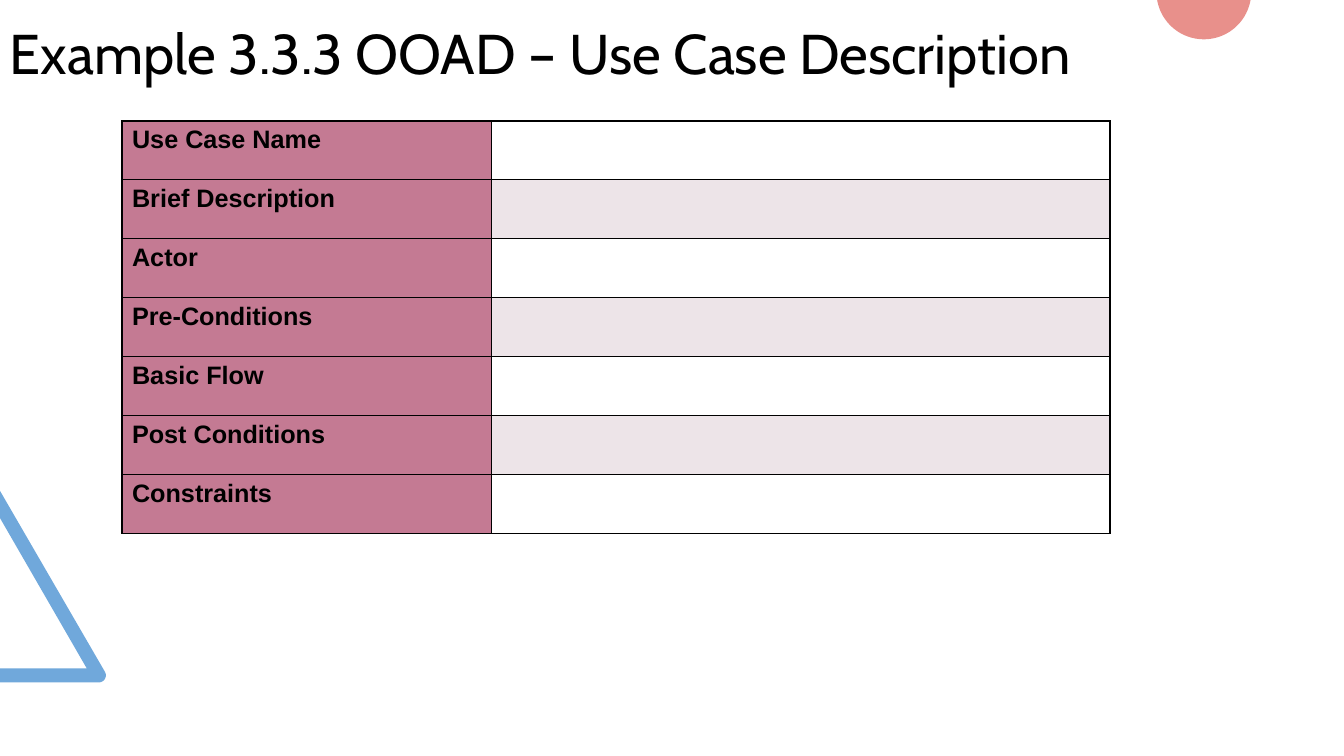
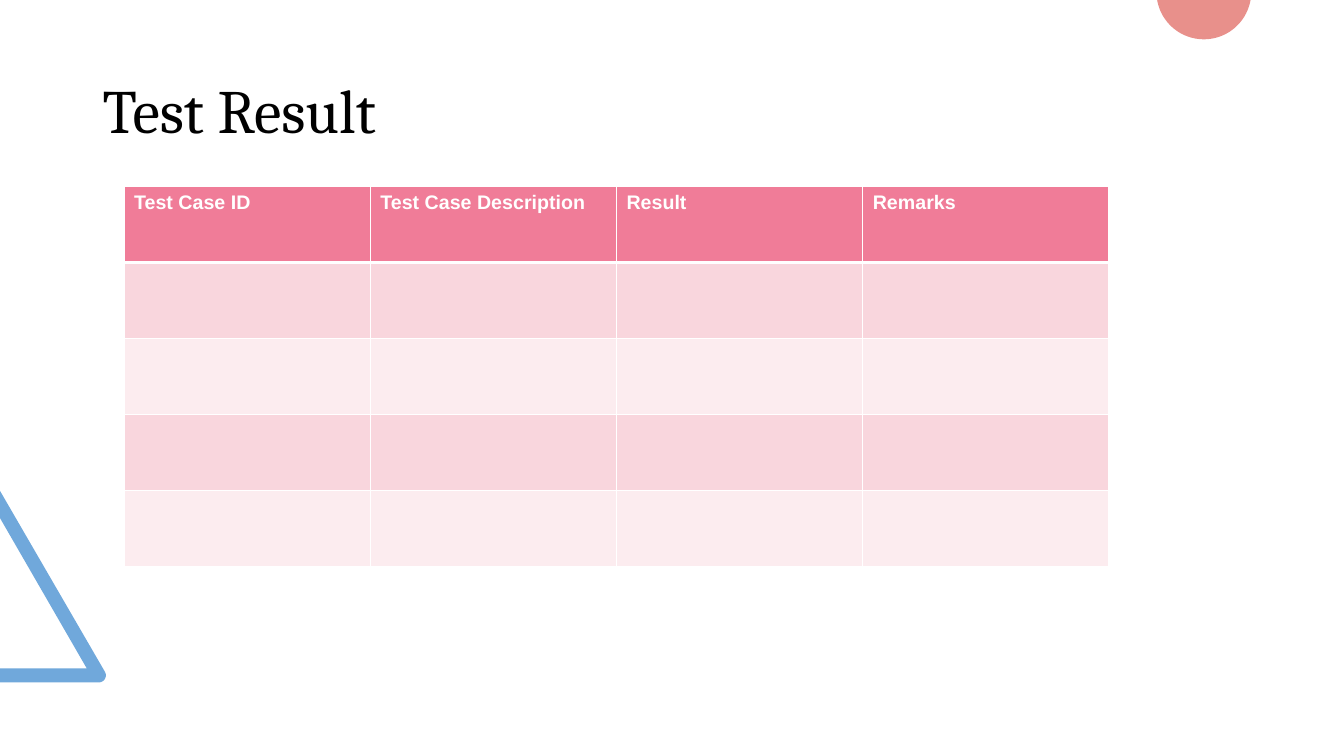
from math import asin, cos, pi, sin

from lxml.etree import SubElement
from pptx import Presentation
from pptx.dml.color import RGBColor
from pptx.enum.text import MSO_ANCHOR
from pptx.oxml.ns import qn
from pptx.util import Inches, Pt

# Shared style
SLIDE_WIDTH, SLIDE_HEIGHT = 13.33, 7.5
BLACK = RGBColor(0x00, 0x00, 0x00)
WHITE = RGBColor(0xFF, 0xFF, 0xFF)
BLUE = RGBColor(0x70, 0xA8, 0xDB)
CORAL = RGBColor(0xE8, 0x90, 0x8B)
MAUVE = RGBColor(0xC4, 0x7A, 0x93)
PALE_MAUVE = RGBColor(0xED, 0xE4, 0xE8)
PINK = RGBColor(0xF0, 0x7C, 0x98)
LIGHT_PINK = RGBColor(0xF9, 0xD6, 0xDD)
PALE_PINK = RGBColor(0xFC, 0xEC, 0xEF)
BODY_FONT = "Arial"

USE_CASE_FIELDS = ["Use Case Name", "Brief Description", "Actor", "Pre-Conditions",
                   "Basic Flow", "Post Conditions", "Constraints"]
TEST_COLUMNS = ["Test Case ID", "Test Case Description", "Result", "Remarks"]
EMPTY_TEST_ROWS = 4


def arc(center_x, center_y, radius, start, end, steps):
    """Points along an arc, with angles in radians, clockwise from the right."""
    angles = [start + (end - start) * step / steps for step in range(steps + 1)]
    return [(center_x + radius * cos(angle), center_y + radius * sin(angle))
            for angle in angles]


def add_outline(slide, points, color):
    corners = [(Inches(x), Inches(y)) for x, y in points]
    builder = slide.shapes.build_freeform(*corners[0])
    builder.add_line_segments(corners[1:], close=True)
    shape = builder.convert_to_shape()
    shape.shadow.inherit = False
    shape.fill.solid()
    shape.fill.fore_color.rgb = color
    shape.line.fill.background()


def add_decoration(slide):
    # Triangle frame cut by the left edge, with a rounded corner
    corner = arc(0.98, 6.7, 0.07, -pi / 6, pi / 2, 12)
    add_outline(slide, [(0, 6.77), (0, 6.63), (0.86, 6.63), (0, 5.14), (0, 4.87)]
                + corner, BLUE)
    # Disc cut by the top edge
    center_y, radius = -0.08, 0.47
    edge = asin(-center_y / radius)
    add_outline(slide, arc(11.94, center_y, radius, edge, pi - edge, 48), CORAL)


def add_title(slide, box, text, font_name, size):
    frame = slide.shapes.add_textbox(*map(Inches, box)).text_frame
    frame.word_wrap = True
    frame.vertical_anchor = MSO_ANCHOR.MIDDLE
    paragraph = frame.paragraphs[0]
    paragraph.line_spacing = 0.9
    add_run(paragraph, text, font_name, size, BLACK)


def add_run(paragraph, text, font_name, size, color, bold=False):
    run = paragraph.add_run()
    run.text = text
    run.font.name = font_name
    run.font.size = Pt(size)
    run.font.bold = bold
    run.font.color.rgb = color


def add_table(slide, box, column_shares, row_count):
    """Plain table with equal rows and columns split by share."""
    left, top, width, height = map(Inches, box)
    table = slide.shapes.add_table(row_count, len(column_shares),
                                   left, top, width, height).table
    table.first_row = table.horz_banding = False
    for column, share in zip(table.columns, column_shares):
        column.width = int(width * share / sum(column_shares))
    for row in table.rows:
        row.height = int(height / row_count)
    return table


def style_cell(cell, fill, border, top=1, bottom=1):
    properties = cell._tc.get_or_add_tcPr()
    for side, width in (("L", 1), ("R", 1), ("T", top), ("B", bottom)):
        line = SubElement(properties, qn(f"a:ln{side}"), w=str(Pt(width)))
        solid = SubElement(line, qn("a:solidFill"))
        SubElement(solid, qn("a:srgbClr"), val=str(border))
    cell.fill.solid()
    cell.fill.fore_color.rgb = fill


def fill_label(cell, text, size, color):
    add_run(cell.text_frame.paragraphs[0], text, BODY_FONT, size, color, bold=True)


def add_use_case_table(slide, box):
    table = add_table(slide, box, [3.66, 6.13], len(USE_CASE_FIELDS))
    for row, field in enumerate(USE_CASE_FIELDS):
        label, value = table.cell(row, 0), table.cell(row, 1)
        style_cell(label, MAUVE, BLACK)
        fill_label(label, field, 18, BLACK)
        style_cell(value, PALE_MAUVE if row % 2 else WHITE, BLACK)


def add_test_table(slide, box):
    table = add_table(slide, box, [1] * len(TEST_COLUMNS), EMPTY_TEST_ROWS + 1)
    for column, heading in enumerate(TEST_COLUMNS):
        # Header, set off by a thick rule
        header = table.cell(0, column)
        style_cell(header, PINK, WHITE, bottom=3)
        fill_label(header, heading, 14, WHITE)
        # Banded empty rows
        for row in range(1, EMPTY_TEST_ROWS + 1):
            style_cell(table.cell(row, column), LIGHT_PINK if row % 2 else PALE_PINK,
                       WHITE, top=3 if row == 1 else 1)


def add_slide(presentation):
    slide = presentation.slides.add_slide(presentation.slide_layouts[6])
    add_decoration(slide)
    return slide


def main():
    presentation = Presentation()
    presentation.slide_width = Inches(SLIDE_WIDTH)
    presentation.slide_height = Inches(SLIDE_HEIGHT)

    # Use case description
    slide = add_slide(presentation)
    add_title(slide, (0, 0, 11.5, 1.11),
              "Example 3.3.3 OOAD – Use Case Description", "Cabin", 40)
    add_use_case_table(slide, (1.21, 1.2, 9.8, 4.09))

    # Test result
    slide = add_slide(presentation)
    add_title(slide, (0.92, 0.4, 11.5, 1.45), "Test Result", "Cambria", 44)
    add_test_table(slide, (1.23, 1.85, 9.77, 3.77))

    presentation.save("out.pptx")


if __name__ == "__main__":
    main()
